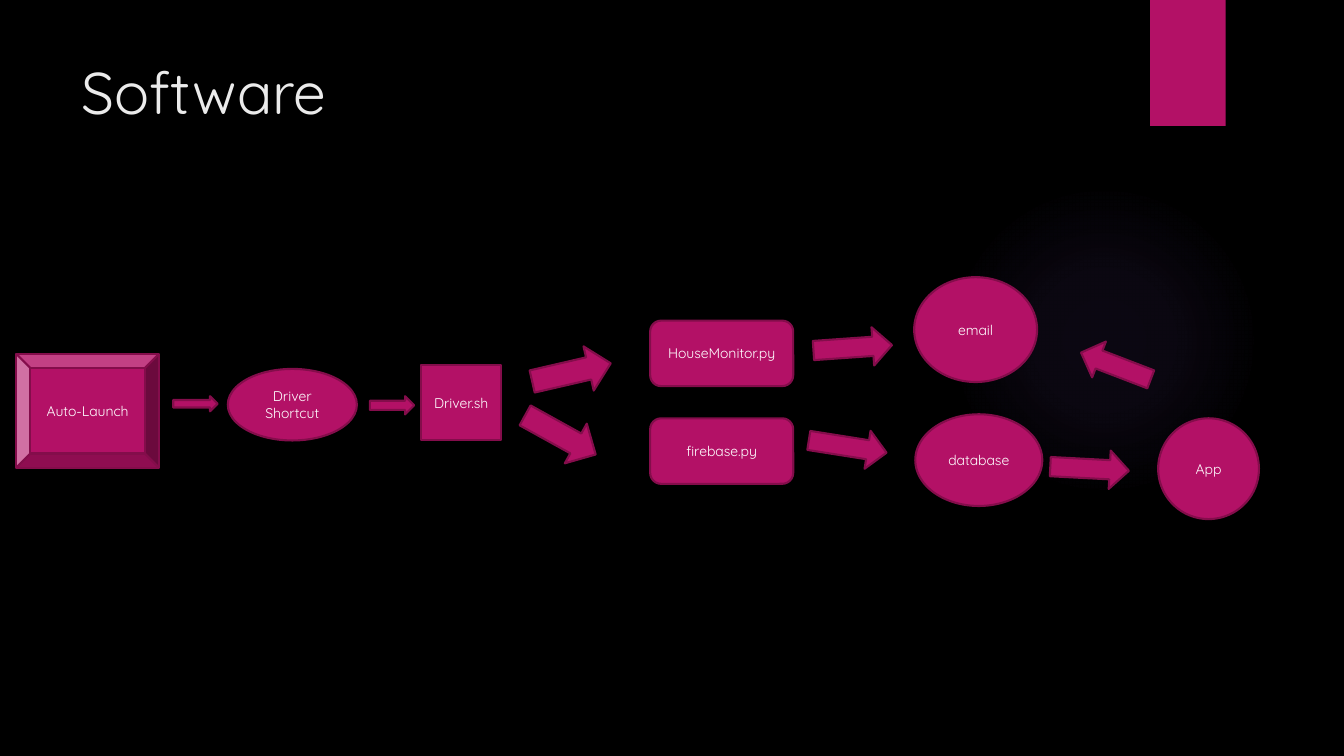
from pptx import Presentation
from pptx.dml.color import RGBColor as Rgb
from pptx.enum.shapes import MSO_SHAPE as Kind
from pptx.enum.text import MSO_ANCHOR as Anchor, PP_ALIGN as Align
from pptx.oxml import parse_xml
from pptx.oxml.ns import nsdecls
from pptx.util import Pt

# kind, label, left, top, width, height
NODES = [
    (Kind.BEVEL, "Auto-Launch", 11.5, 252.7, 102.2, 81.4),
    (Kind.OVAL, "Driver Shortcut", 162.7, 263.5, 92.2, 51.1),
    (Kind.RECTANGLE, "Driver.sh", 301, 260.6, 56.9, 54),
    (Kind.ROUNDED_RECTANGLE, "HouseMonitor.py", 464.4, 229, 102.2, 46.8),
    (Kind.ROUNDED_RECTANGLE, "firebase.py", 464.4, 298.8, 102.2, 46.8),
    (Kind.OVAL, "email", 653, 198, 87.8, 74.9),
    (Kind.OVAL, "database", 653.8, 295.9, 90.7, 65.5),
    (Kind.OVAL, "App", 827.3, 298.8, 72, 72),
]
# left, top, width, height, turn
ARROWS = [
    (123.8, 283, 31.7, 10.8, 0),
    (264.2, 283, 31.7, 13, 0),
    (379.4, 249.8, 57.6, 32.4, 347),
    (371.5, 294.5, 57.6, 32.4, 29),
    (581, 234.7, 56.2, 27.4, 356),
    (577.4, 305.3, 56.2, 27.4, 9),
    (750.2, 321.1, 56.2, 27.4, 3),
    (770.4, 247.7, 53.3, 27.4, 201),
]


def color(code):
    return Rgb.from_string(code)


class Board:
    font = "Quicksand"
    pink, edge, glow_hue = "B31166", "840D4B", "9B6BF2"
    white, pale, black = "FFFFFF", "EBEBEB", "000000"

    def __init__(self, deck):
        self.slide = deck.slides.add_slide(deck.slide_layouts[5])
        back = self.slide.background.fill
        back.solid()
        back.fore_color.rgb = color(self.black)

    def label(self, frame, text, size, ink, align):
        para = frame.paragraphs[0]
        para.alignment = align
        run = para.add_run()
        run.text = text
        run.font.name = self.font
        run.font.size = Pt(size)
        run.font.color.rgb = color(ink)

    def shape(self, kind, *box, line=True):
        item = self.slide.shapes.add_shape(kind, *map(Pt, box))
        item.shadow.inherit = False
        item.fill.solid()
        item.fill.fore_color.rgb = color(self.pink)
        if line:
            item.line.color.rgb = color(self.edge)
            item.line.width = Pt(1.5)
        else:
            item.line.fill.background()
        return item

    def glow(self, left, top, size):
        """Draw a soft light that fades out from its centre."""
        item = self.shape(Kind.OVAL, left, top, size, size, line=False)
        stops = "".join(
            f'<a:gs pos="{pos}000"><a:srgbClr val="{self.glow_hue}">'
            f'<a:alpha val="{alpha}000"/></a:srgbClr></a:gs>'
            for pos, alpha in [(0, 7), (36, 6), (69, 0)])
        fade = parse_xml(
            f'<a:gradFill {nsdecls("a")}><a:gsLst>{stops}</a:gsLst>'
            '<a:path path="circle"><a:fillToRect l="50000" t="50000" '
            'r="50000" b="50000"/></a:path></a:gradFill>')
        props = item.element.spPr
        props.replace(props.find("{*}solidFill"), fade)

    def title(self, text, *box):
        item = self.slide.shapes.title
        item.left, item.top, item.width, item.height = map(Pt, box)
        item.text_frame.vertical_anchor = Anchor.TOP
        self.label(item.text_frame, text, 42, self.pale, Align.LEFT)

    def node(self, kind, text, *box):
        frame = self.shape(kind, *box).text_frame
        frame.word_wrap = True
        frame.vertical_anchor = Anchor.MIDDLE
        self.label(frame, text, 10, self.white, Align.CENTER)

    def arrow(self, *box, turn):
        self.shape(Kind.RIGHT_ARROW, *box).rotation = turn


def main():
    deck = Presentation()
    deck.slide_width, deck.slide_height = Pt(960), Pt(540)
    board = Board(deck)
    board.glow(677.5, 131.8, 221.8)
    board.shape(Kind.RECTANGLE, 821.5, 0, 54, 90, line=False)
    board.title("Software", 51.1, 36, 740.9, 110.2)
    for node in NODES:
        board.node(*node)
    for *box, turn in ARROWS:
        board.arrow(*box, turn=turn)
    deck.save("out.pptx")


if __name__ == "__main__":
    main()
